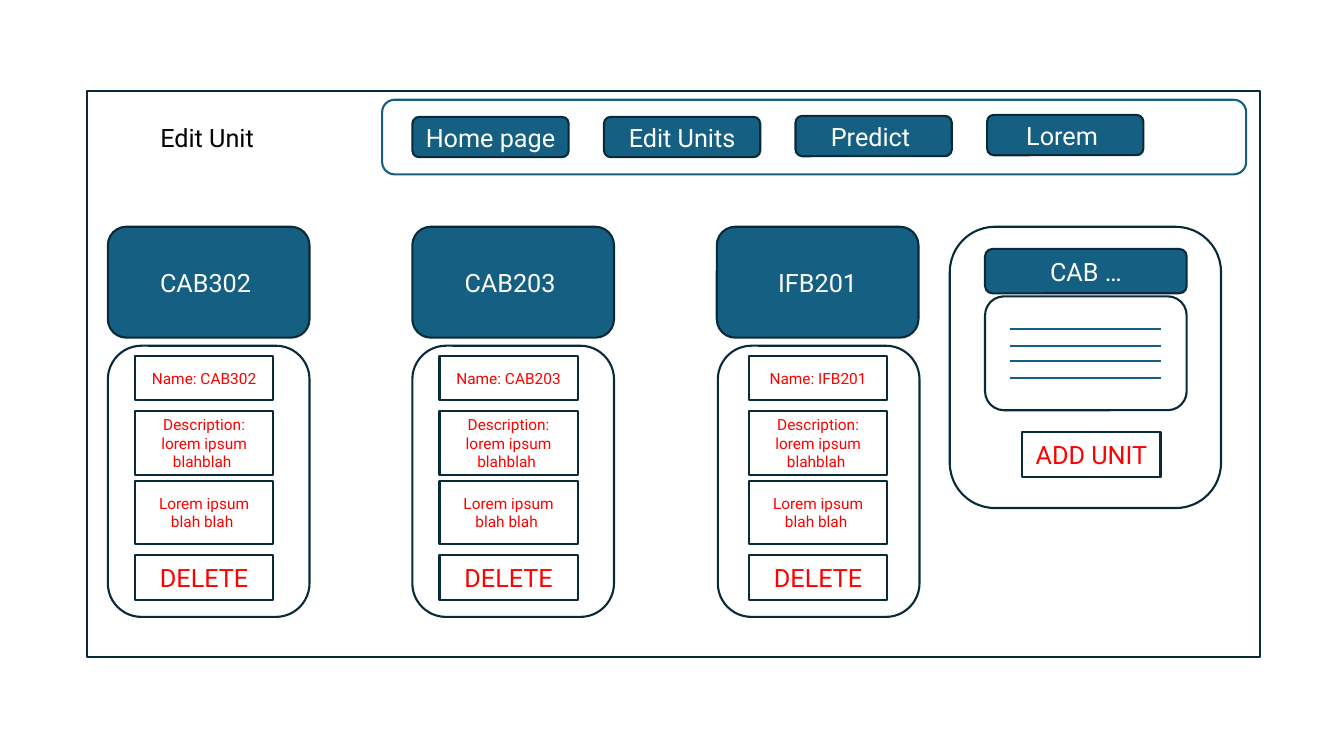
from pptx import Presentation
from pptx import util as u
from pptx.dml.color import RGBColor
from pptx.enum import shapes, text
from pptx.oxml.ns import qn
from lxml import etree

COLORS = {"fill": "156082", "edge": "092A39", "white": "FFFFFF",
          "red": "FF0000", "black": "000000"}
FONT = "Roboto"
CELL = 0.1  # inches per grid column and row


def grid(*cells):
    return [u.Inches(cell * CELL) for cell in cells]


def color(name):
    return RGBColor.from_string(COLORS[name])


class Page:
    """Holds the slide and draws its elements in grid cells."""

    def __init__(self, slide):
        self.slide = slide

    def label(self, frame, words, size, ink, align, anchor):
        frame.text = words
        frame.vertical_anchor = anchor
        line = frame.paragraphs[0]
        line.alignment = align
        for run in line.runs:
            run.font.name = FONT
            run.font.size = u.Pt(size)
            run.font.color.rgb = color(ink)

    def title(self, words, x, y, w, h):
        box = self.slide.shapes.title
        box.left, box.top, box.width, box.height = grid(x, y, w, h)
        self.label(box.text_frame, words, 18, "black",
                   text.PP_ALIGN.LEFT, text.MSO_ANCHOR.TOP)
        box.text_frame.word_wrap = False
        box.text_frame.auto_size = text.MSO_AUTO_SIZE.SHAPE_TO_FIT_TEXT

    def box(self, x, y, w, h, words="", size=18, ink="red",
            fill=None, edge="edge", round=False):
        kind = shapes.MSO_SHAPE
        shape = self.slide.shapes.add_shape(
            kind.ROUNDED_RECTANGLE if round else kind.RECTANGLE,
            *grid(x, y, w, h))
        shape.shadow.inherit = False
        if fill:
            shape.fill.solid()
            shape.fill.fore_color.rgb = color(fill)
        else:
            shape.fill.background()
        shape.line.color.rgb = color(edge)
        shape.line.width = u.Pt(1.5)
        if words:
            self.label(shape.text_frame, words, size, ink,
                       text.PP_ALIGN.CENTER, text.MSO_ANCHOR.MIDDLE)

    def panel(self, x, y, w, h, **style):
        self.box(x, y, w, h, round=True, **style)

    def button(self, x, y, w, h, words):
        self.panel(x, y, w, h, words=words, ink="white", fill="fill")

    def rule(self, x, y, w):
        line = self.slide.shapes.add_connector(
            shapes.MSO_CONNECTOR.STRAIGHT, *grid(x, y, x + w, y))
        line.line.color.rgb = color("fill")
        line.line.width = u.Pt(1.5)
        etree.SubElement(line._element.spPr, qn("a:effectLst"))

    def unit(self, x, code, card, inset):
        """Draw a unit's heading and its card of fields."""
        self.button(x, 22.5, 20, 11, code)
        self.panel(card, 34.3, 20, 26.9)
        fields = [
            (35.3, 4.4, f"Name: {code.strip()}", 11),
            (40.8, 6.3, "Description: lorem ipsum blahblah ", 11),
            (47.7, 6.3, "Lorem ipsum blah blah ", 11),
            (55.1, 4.4, "DELETE", 18),
        ]
        for y, h, words, size in fields:
            self.box(x + inset, y, 13.7, h, words, size)


def main():
    deck = Presentation()
    deck.slide_width, deck.slide_height = u.Inches(13.33), u.Inches(7.5)
    page = Page(deck.slides.add_slide(deck.slide_layouts[5]))

    page.box(8.6, 9, 116.4, 56.2)
    page.title("Edit Unit", 14.9, 11.6, 11.8, 4)

    page.panel(37.9, 9.9, 85.7, 7.4, fill="white", edge="fill")
    tabs = [("Home page", 11.6), ("Edit Units", 11.6),
            ("Predict ", 11.5), ("Lorem ", 11.4)]
    for i, (words, y) in enumerate(tabs):
        page.button(40.9 + 19 * i, y, 15.5, 4, words)

    page.unit(10.7, "CAB302 ", 10.7, 2.7)
    page.unit(40.9, "CAB203 ", 40.9, 2.7)
    page.unit(71.1, "IFB201", 71.2, 3.2)

    page.panel(94.2, 22.5, 26.9, 27.9)
    page.button(97.7, 24.7, 20, 4.4, "CAB …")
    page.panel(97.7, 29.4, 20, 11.3)
    for y in (32.6, 34.3, 35.8, 37.5):
        page.rule(100.2, y, 15)
    page.box(101.4, 42.9, 13.7, 4.4, "ADD UNIT")

    deck.save("out.pptx")


if __name__ == "__main__":
    main()
